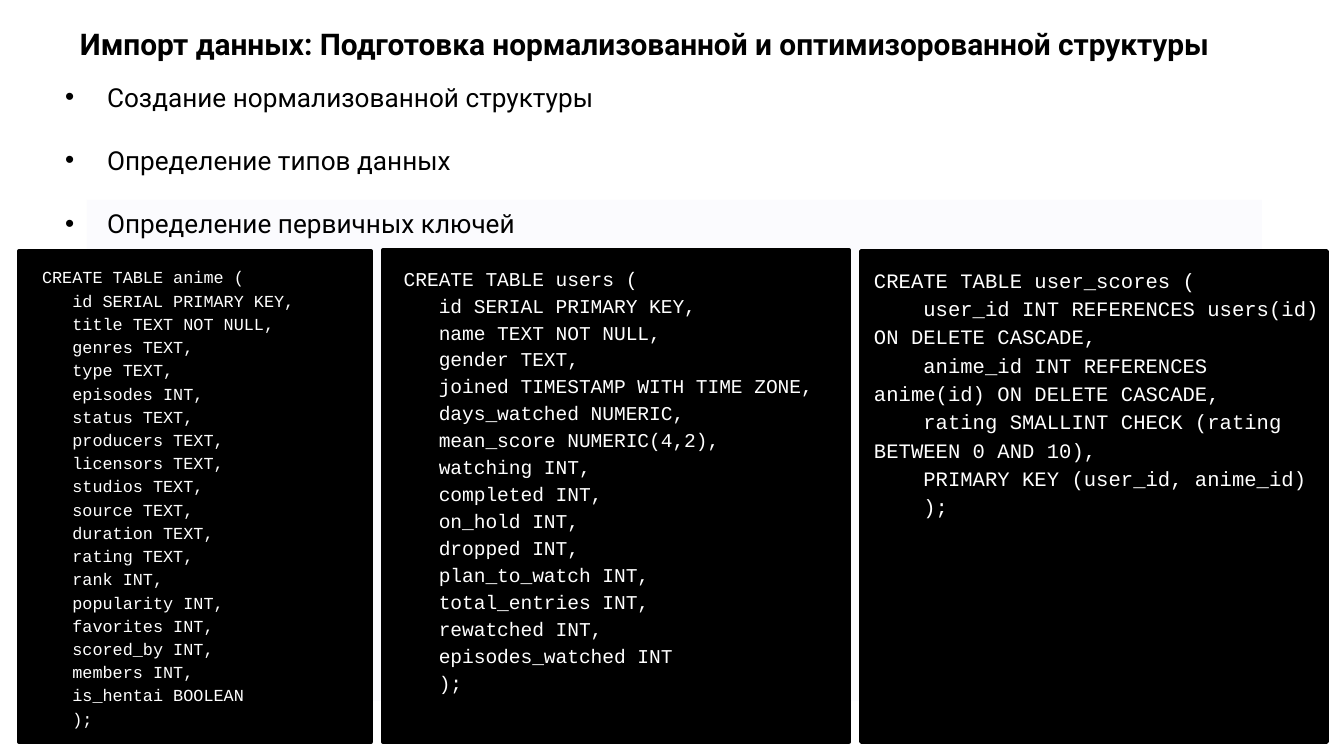
from pptx import Presentation
from pptx.dml.color import RGBColor
from pptx.enum.shapes import MSO_SHAPE
from pptx.enum.text import MSO_ANCHOR
from pptx.oxml import parse_xml
from pptx.oxml.ns import nsdecls
from pptx.util import Pt

SCALE = 914400 / 134.4
INSET = 13
INDENT = 42
BLACK, WHITE, PALE = "000000", "FFFFFF", "FBFBFE"

TITLE = "Импорт данных: Подготовка нормализованной и оптимизорованной структуры"
STEPS = [
    "Создание нормализованной структуры",
    "Определение типов данных",
    "Определение первичных ключей",
]
ANIME = [
    "id SERIAL PRIMARY KEY,", "title TEXT NOT NULL,", "genres TEXT,",
    "type TEXT,", "episodes INT,", "status TEXT,", "producers TEXT,",
    "licensors TEXT,", "studios TEXT,", "source TEXT,", "duration TEXT,",
    "rating TEXT,", "rank INT,", "popularity INT,", "favorites INT,",
    "scored_by INT,", "members INT,", "is_hentai BOOLEAN", ");",
]
USERS = [
    "id SERIAL PRIMARY KEY,", "name TEXT NOT NULL,", "gender TEXT,",
    "joined TIMESTAMP WITH TIME ZONE,", "days_watched NUMERIC,",
    "mean_score NUMERIC(4,2),", "watching INT,", "completed INT,",
    "on_hold INT,", "dropped INT,", "plan_to_watch INT,",
    "total_entries INT,", "rewatched INT,", "episodes_watched INT", ");",
]
SCORES = [
    "user_id INT REFERENCES users(id) ON DELETE CASCADE,",
    "anime_id INT REFERENCES anime(id) ON DELETE CASCADE,",
    "rating SMALLINT CHECK (rating BETWEEN 0 AND 10),",
    "PRIMARY KEY (user_id, anime_id)", ");",
]
TABLES = [
    ((861, 251, 466, 491), (861, 251, 476, 312), 11,
     "CREATE TABLE user_scores (", SCORES),
    ((383, 250, 466, 492), (379, 250, 473, 469), 10.5,
     " CREATE TABLE users (", USERS),
    ((19, 251, 352, 491), (19, 251, 355, 468), 9,
     " CREATE TABLE anime (", ANIME),
]


def px(n):
    return round(n * SCALE)


def tint(code):
    return RGBColor.from_string(code)


class Deck:
    sans = "Roboto"
    mono = "Courier New"

    def __init__(self):
        self.file = Presentation()
        self.file.slide_width = px(1344)
        self.file.slide_height = px(756)
        self.slide = self.file.slides.add_slide(self.file.slide_layouts[6])

    def rect(self, box, fill, edge=0):
        shape = self.slide.shapes.add_shape(MSO_SHAPE.RECTANGLE, *map(px, box))
        shape.shadow.inherit = False
        shape.fill.solid()
        shape.fill.fore_color.rgb = tint(fill)
        if edge:
            shape.line.color.rgb = tint(fill)
            shape.line.width = Pt(edge)
        else:
            shape.line.fill.background()

    def frame(self, box, top=INSET):
        frame = self.slide.shapes.add_textbox(*map(px, box)).text_frame
        frame.word_wrap = True
        frame.vertical_anchor = MSO_ANCHOR.TOP
        frame.margin_left = frame.margin_right = px(INSET)
        frame.margin_top = frame.margin_bottom = px(top)
        return frame

    def line(self, frame, first):
        return frame.paragraphs[0] if first else frame.add_paragraph()

    def run(self, para, text, font, size, color, bold=False):
        run = para.add_run()
        run.text = text
        run.font.name = font
        run.font.size = Pt(size)
        run.font.bold = bold
        run.font.color.rgb = tint(color)

    def title(self, box, text):
        para = self.frame(box).paragraphs[0]
        self.run(para, text, self.sans, 16, BLACK, True)

    def list(self, box, items):
        frame = self.frame(box, 7)
        for i, item in enumerate(items):
            para = self.line(frame, i == 0)
            props = para._p.get_or_add_pPr()
            props.set("marL", str(px(INDENT)))
            props.set("indent", str(-px(INDENT)))
            for mark in (
                f'<a:buClr {nsdecls("a")}><a:srgbClr val="{BLACK}"/></a:buClr>',
                f'<a:buFont {nsdecls("a")} typeface="Arial"/>',
                f'<a:buChar {nsdecls("a")} char="•"/>',
            ):
                props.append(parse_xml(mark))
            if i:
                para.space_before = Pt(17)
            self.run(para, item, self.sans, 14, BLACK)

    def code(self, box, size, head, body):
        frame = self.frame(box)
        for i, text in enumerate([head] + ["    " + row for row in body]):
            para = self.line(frame, i == 0)
            para.line_spacing = 1.15
            self.run(para, text, self.mono, size, WHITE)


def main():
    deck = Deck()
    deck.rect((87, 200, 1175, 501), PALE)
    for panel, *rest in TABLES:
        deck.rect(panel, BLACK, 2)
    deck.title((67, 13, 1253, 55), TITLE)
    for panel, box, size, head, body in reversed(TABLES):
        deck.code(box, size, head, body)
    deck.list((52, 74, 809, 172), STEPS)
    deck.file.save("out.pptx")


if __name__ == "__main__":
    main()
